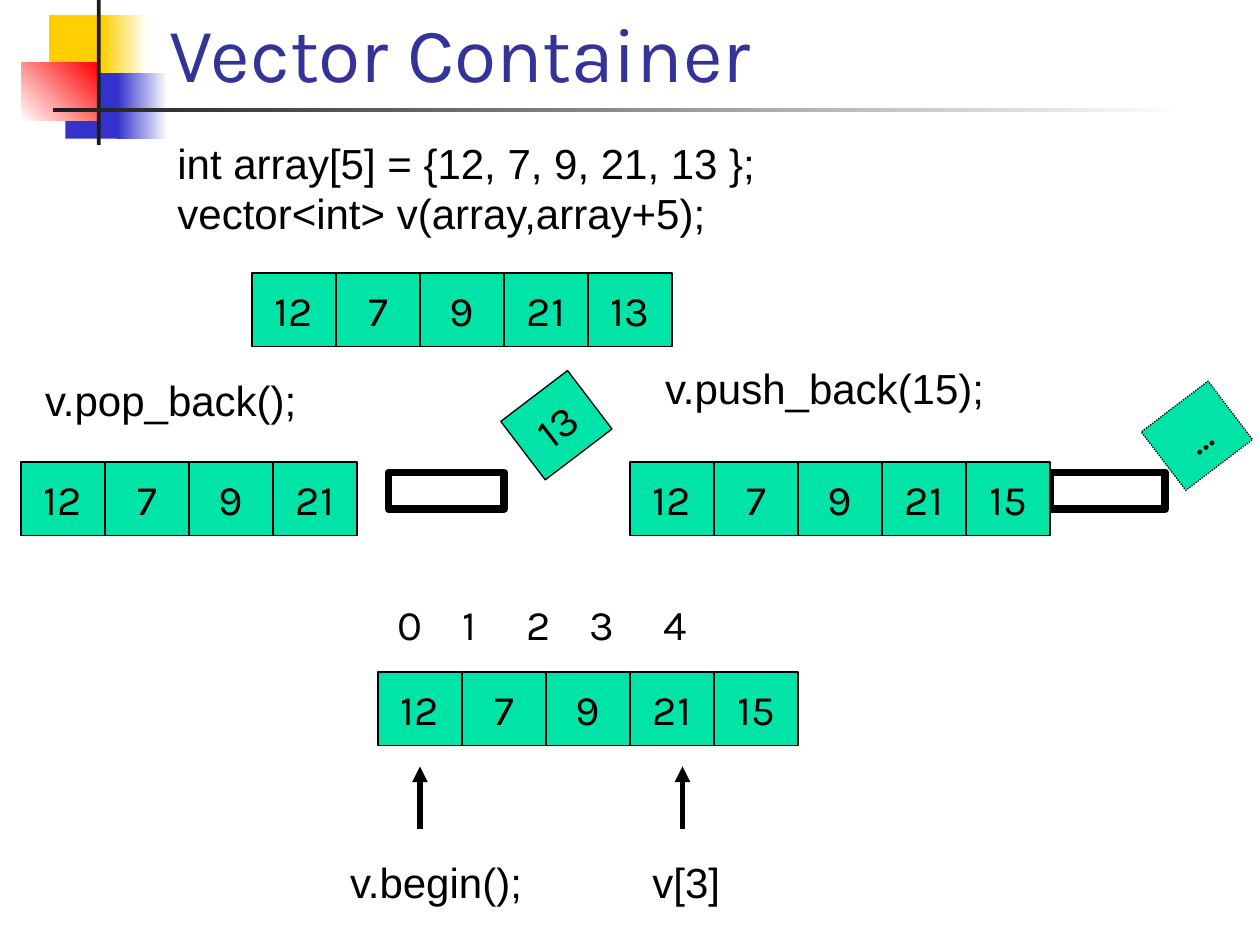
import pptx
import pptx.util
import pptx.dml.color
import pptx.enum.dml
import pptx.enum.shapes
import pptx.enum.text
import pptx.oxml
import pptx.oxml.ns

RGBColor = pptx.dml.color.RGBColor
BLACK = RGBColor(0x00, 0x00, 0x00)
WHITE = RGBColor(0xFF, 0xFF, 0xFF)
CHARCOAL = RGBColor(0x1C, 0x1C, 0x1C)
YELLOW = RGBColor(0xFF, 0xCF, 0x01)
BLUE = RGBColor(0x33, 0x33, 0xCC)
RED = RGBColor(0xFF, 0x00, 0x00)
NAVY = RGBColor(0x33, 0x33, 0x99)
GREEN = RGBColor(0x00, 0xE4, 0xA8)

# The diagram sits on a grid of 120 columns and 90 rows.
UNIT = pptx.util.Inches(1 / 12)
CELL_WIDTH, CELL_HEIGHT = 8, 7
TILT = 322.7
HEADING_FONT, CODE_FONT = "Karla", "Arial"
MIDDLE = pptx.enum.text.MSO_ANCHOR.MIDDLE
BOTTOM = pptx.enum.text.MSO_ANCHOR.BOTTOM
CENTER = pptx.enum.text.PP_ALIGN.CENTER


def grid(*values):
    return [round(value * UNIT) for value in values]


def inches(*values):
    return [pptx.util.Inches(value) for value in values]


def add_rectangle(slide, box):
    """Add a rectangle without fill, line or shadow."""
    shape = slide.shapes.add_shape(pptx.enum.shapes.MSO_SHAPE.RECTANGLE, *box)
    shape.shadow.inherit = False
    shape.fill.background()
    shape.line.fill.background()
    return shape


def add_bar(slide, box, start, end=None, angle=0):
    """Add a plain rectangle, or a gradient one when an end colour is given."""
    shape = add_rectangle(slide, box)
    if end is None:
        shape.fill.solid()
        shape.fill.fore_color.rgb = start
        return
    shape.fill.gradient()
    shape.fill.gradient_angle = angle
    for stop, color in zip(shape.fill.gradient_stops, (start, end)):
        stop.color.rgb = color


def set_text(shape, text, font_name, size=24, color=BLACK, wrap=True):
    frame = shape.text_frame
    frame.text = text
    frame.word_wrap = wrap
    for paragraph in frame.paragraphs:
        paragraph.font.name = font_name
        paragraph.font.size = pptx.util.Pt(size)
        paragraph.font.color.rgb = color
    return frame


def add_label(slide, box, text):
    set_text(slide.shapes.add_textbox(*box), text, CODE_FONT)


def add_cell(slide, column, row, text, rotation=0):
    shape = add_rectangle(slide, grid(column, row, CELL_WIDTH, CELL_HEIGHT))
    shape.rotation = rotation
    shape.fill.solid()
    shape.fill.fore_color.rgb = GREEN
    shape.line.color.rgb = BLACK
    shape.line.width = pptx.util.Pt(0.75)
    frame = set_text(shape, text, HEADING_FONT, wrap=False)
    frame.vertical_anchor = MIDDLE
    frame.paragraphs[0].alignment = CENTER
    return shape


def add_vector(slide, column, row, values):
    for index, value in enumerate(values):
        add_cell(slide, column + index * CELL_WIDTH, row, str(value))


def add_slot(slide, column, row):
    shape = add_rectangle(slide, grid(column, row, 11, 3.5))
    shape.line.color.rgb = BLACK
    shape.line.width = pptx.util.Pt(4.5)


def add_pointer(slide, column, bottom, top):
    """Add an upward arrow."""
    connector = slide.shapes.add_connector(
        pptx.enum.shapes.MSO_CONNECTOR.STRAIGHT, *grid(column, bottom, column, top))
    connector.line.color.rgb = BLACK
    connector.line.width = pptx.util.Pt(3)
    line = connector.line._get_or_add_ln()
    line.append(line.makeelement(pptx.oxml.ns.qn("a:tailEnd"), {"type": "triangle"}))
    properties = connector._element.spPr
    properties.append(properties.makeelement(pptx.oxml.ns.qn("a:effectLst"), {}))


def add_index_labels(slide, box, tab_stops):
    """Add the indices 0, 1, 2 ... in one line, spaced by tab stops."""
    text = "\t".join(str(index) for index in range(len(tab_stops) + 1))
    frame = set_text(slide.shapes.add_textbox(*box), text, HEADING_FONT)
    properties = frame.paragraphs[0]._p.get_or_add_pPr()
    tabs = properties.makeelement(pptx.oxml.ns.qn("a:tabLst"), {})
    for position in inches(*tab_stops):
        tabs.append(tabs.makeelement(
            pptx.oxml.ns.qn("a:tab"), {"pos": str(position), "algn": "l"}))
    properties.insert(0, tabs)


def draw_header(slide):
    add_bar(slide, inches(0.39, 0.12, 0.48, 0.52), YELLOW)
    add_bar(slide, inches(0.81, 0.12, 0.36, 0.52), YELLOW, WHITE)
    add_bar(slide, inches(0.52, 0.58, 0.46, 0.52), BLUE)
    add_bar(slide, inches(0.93, 0.58, 0.4, 0.52), BLUE, WHITE)
    add_bar(slide, inches(0.17, 0.5, 0.61, 0.46), WHITE, RED, 45)
    add_bar(slide, inches(0.77, 0, 0.03, 1.15), CHARCOAL)
    add_bar(slide, inches(0.42, 0.86, 9, 0.03), CHARCOAL, WHITE)
    title = slide.shapes.add_textbox(*inches(1.25, -0.42, 8.52, 1.25))
    frame = set_text(title, "Vector Container", HEADING_FONT, 44, NAVY)
    frame.vertical_anchor = BOTTOM


def draw_construction(slide, column, row):
    add_label(slide, inches(1.31, 1.04, 4.9, 0.9),
              "int array[5] = {12, 7, 9, 21, 13 };\nvector<int> v(array,array+5);")
    add_vector(slide, column, row, [12, 7, 9, 21, 13])


def draw_pop_back(slide, column, row):
    add_label(slide, inches(0.26, 2.92, 2.3, 0.5), "v.pop_back();")
    add_vector(slide, column, row, [12, 7, 9, 21])
    add_cell(slide, column + 47, row - 7, "13", TILT)
    add_slot(slide, column + 35, row + 1)


def draw_push_back(slide, column, row):
    add_label(slide, inches(5.18, 2.83, 2.85, 0.5), "v.push_back(15);")
    incoming = add_cell(slide, column + 50, row - 6, "…", TILT)
    incoming.line.dash_style = pptx.enum.dml.MSO_LINE.ROUND_DOT
    add_slot(slide, column + 40, row + 1)
    add_vector(slide, column, row, [12, 7, 9, 21, 15])


def draw_access(slide, column, row):
    add_index_labels(slide, inches(3.06, 4.7, 3.17, 0.5), (0.51, 1.02, 1.52, 2.11))
    add_vector(slide, column, row, [12, 7, 9, 21, 15])
    for offset in (4, 29):
        add_pointer(slide, column + offset, row + 15, row + 9)
    add_label(slide, inches(2.68, 6.75, 1.7, 0.5), "v.begin();")
    add_label(slide, inches(5.08, 6.75, 0.85, 0.5), "v[3]")


def main():
    presentation = pptx.Presentation()
    presentation.slide_width, presentation.slide_height = grid(120, 90)
    slide = presentation.slides.add_slide(presentation.slide_layouts[6])
    draw_header(slide)
    draw_construction(slide, 24, 26)
    draw_pop_back(slide, 2, 44)
    draw_push_back(slide, 60, 44)
    draw_access(slide, 36, 64)
    presentation.save("out.pptx")


if __name__ == "__main__":
    main()
